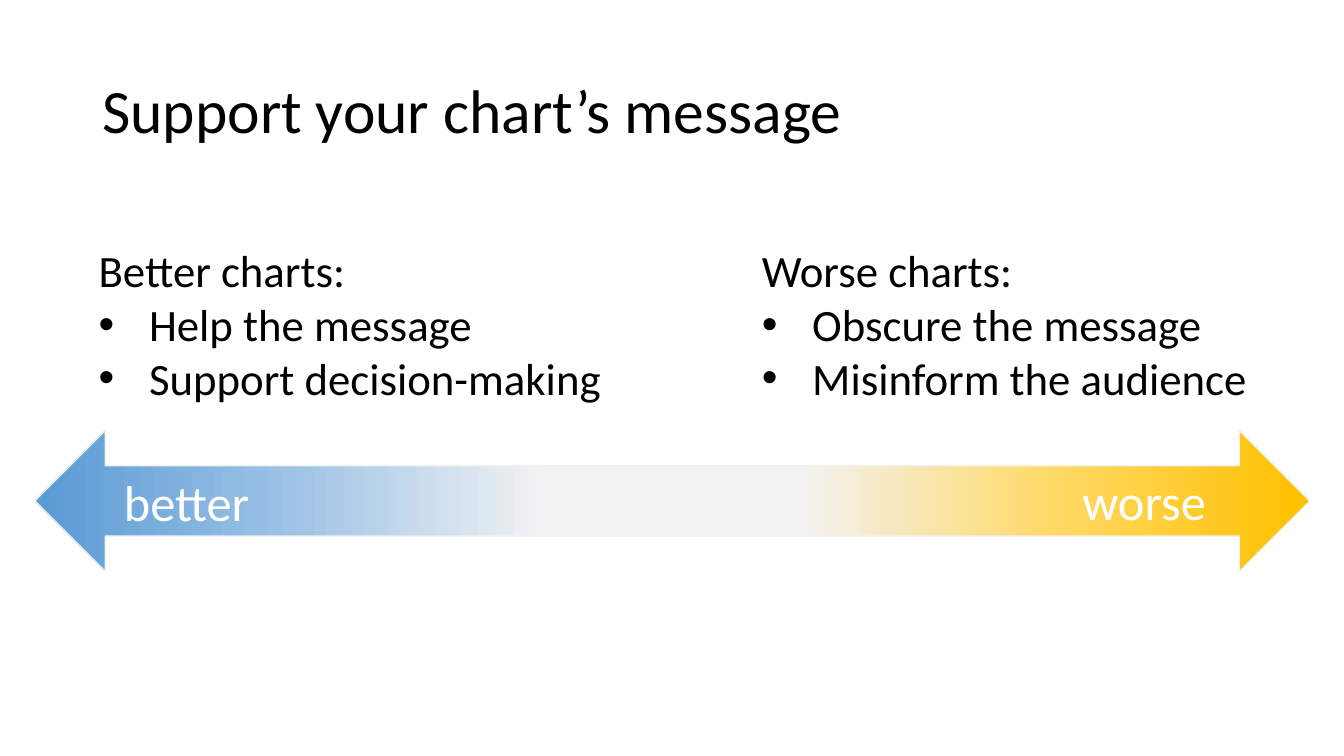
from lxml.etree import SubElement
from pptx import Presentation
from pptx.dml.color import RGBColor
from pptx.enum.shapes import MSO_SHAPE
from pptx.enum.text import MSO_ANCHOR, MSO_AUTO_SIZE
from pptx.oxml.ns import qn
from pptx.util import Pt

FONT = "Calibri"
COLORS = {
    "text": "000000", "label": "FFFFFF", "neutral": "F2F2F2",
    "better_mid": "9DC3E6", "better_end": "5B9BD5",
    "worse_mid": "FFD966", "worse_end": "FFC000",
}
TITLE = "Support your chart’s message"
TITLE_BOX = (66, 28.8, 828, 104.4)

# Each side: heading, bullets, list box, label, label box, rotation
SIDES = {
    "better": ("Better charts:", ["Help the message", "Support decision-making"],
               (63.4, 169.9, 377.3, 123.8), "better", (81.4, 332.6, 105.1, 51.1), 0),
    "worse": ("Worse charts:", ["Obscure the message", "Misinform the audience"],
              (537.1, 169.9, 364.3, 123.8), "worse", (766.1, 331.9, 103.7, 51.1), 180),
}
ARROW_LEFT, ARROW_TOP, ARROW_WIDTH, ARROW_HEIGHT = 24.8, 307.4, 455.4, 100.8
BULLET_INDENT = 36


def points(box):
    """Convert a box of plain numbers to lengths."""
    return [Pt(value) for value in box]


def color(name):
    """Look up a named colour."""
    return RGBColor.from_string(COLORS[name])


def add_text(shapes, box, lines, size, color_name="text", **frame_format):
    """Add a text box with one paragraph per line and return its paragraphs."""
    frame = shapes.add_textbox(*points(box)).text_frame
    for name, value in frame_format.items():
        setattr(frame, name, value)
    frame.text = "\n".join(lines)
    for paragraph in frame.paragraphs:
        font = paragraph.font
        for name, value in {"name": FONT, "size": Pt(size)}.items():
            setattr(font, name, value)
        font.color.rgb = color(color_name)
    return frame.paragraphs


def add_bullet(paragraph):
    """Give a paragraph a round bullet with a hanging indent."""
    properties = paragraph._p.get_or_add_pPr()
    properties.set("marL", str(Pt(BULLET_INDENT)))
    properties.set("indent", str(-Pt(BULLET_INDENT)))
    bullet_font = properties.makeelement(qn("a:buFont"), {"typeface": "Arial"})
    bullet = properties.makeelement(qn("a:buChar"), {"char": "•"})
    position = 0
    for element in (bullet_font, bullet):
        properties.insert(position, element)
        position += 1


def add_arrow(shapes, left, side, rotation):
    """Add an arrow that fades from neutral to the colour of its side."""
    box = (left, ARROW_TOP, ARROW_WIDTH, ARROW_HEIGHT)
    arrow = shapes.add_shape(MSO_SHAPE.LEFT_ARROW, *points(box))
    arrow.rotation = rotation
    arrow.shadow.inherit = False
    arrow.line.color.rgb = color("neutral")
    arrow.line.width = Pt(1)
    arrow.fill.gradient()
    arrow.fill.gradient_angle = 180
    stops = arrow._element.spPr.find(".//" + qn("a:gsLst"))
    for stop in list(stops):
        stops.remove(stop)
    names = ("neutral", "neutral", f"{side}_mid", f"{side}_end")
    for percent, name in zip((0, 20, 60, 99), names):
        stop = SubElement(stops, qn("a:gs"), pos=str(percent * 1000))
        SubElement(stop, qn("a:srgbClr"), val=COLORS[name])


presentation = Presentation()
presentation.slide_width, presentation.slide_height = Pt(960), Pt(540)
slide = presentation.slides.add_slide(presentation.slide_layouts[6])

title, = add_text(slide.shapes, TITLE_BOX, [TITLE], 44,
                  word_wrap=True, vertical_anchor=MSO_ANCHOR.MIDDLE)
title.line_spacing = 0.9

scale = slide.shapes.add_group_shape().shapes
for index, (side, parts) in enumerate(SIDES.items()):
    add_arrow(scale, ARROW_LEFT + index * ARROW_WIDTH, side, parts[-1])

fit = {"word_wrap": False, "auto_size": MSO_AUTO_SIZE.SHAPE_TO_FIT_TEXT}
for heading, bullets, list_box, label, label_box, _ in SIDES.values():
    add_text(scale, label_box, [label], 36, "label",
             vertical_anchor=MSO_ANCHOR.MIDDLE, **fit)
    paragraphs = add_text(slide.shapes, list_box, [heading, *bullets], 32, **fit)
    for paragraph in paragraphs[1:]:
        add_bullet(paragraph)

presentation.save("out.pptx")
